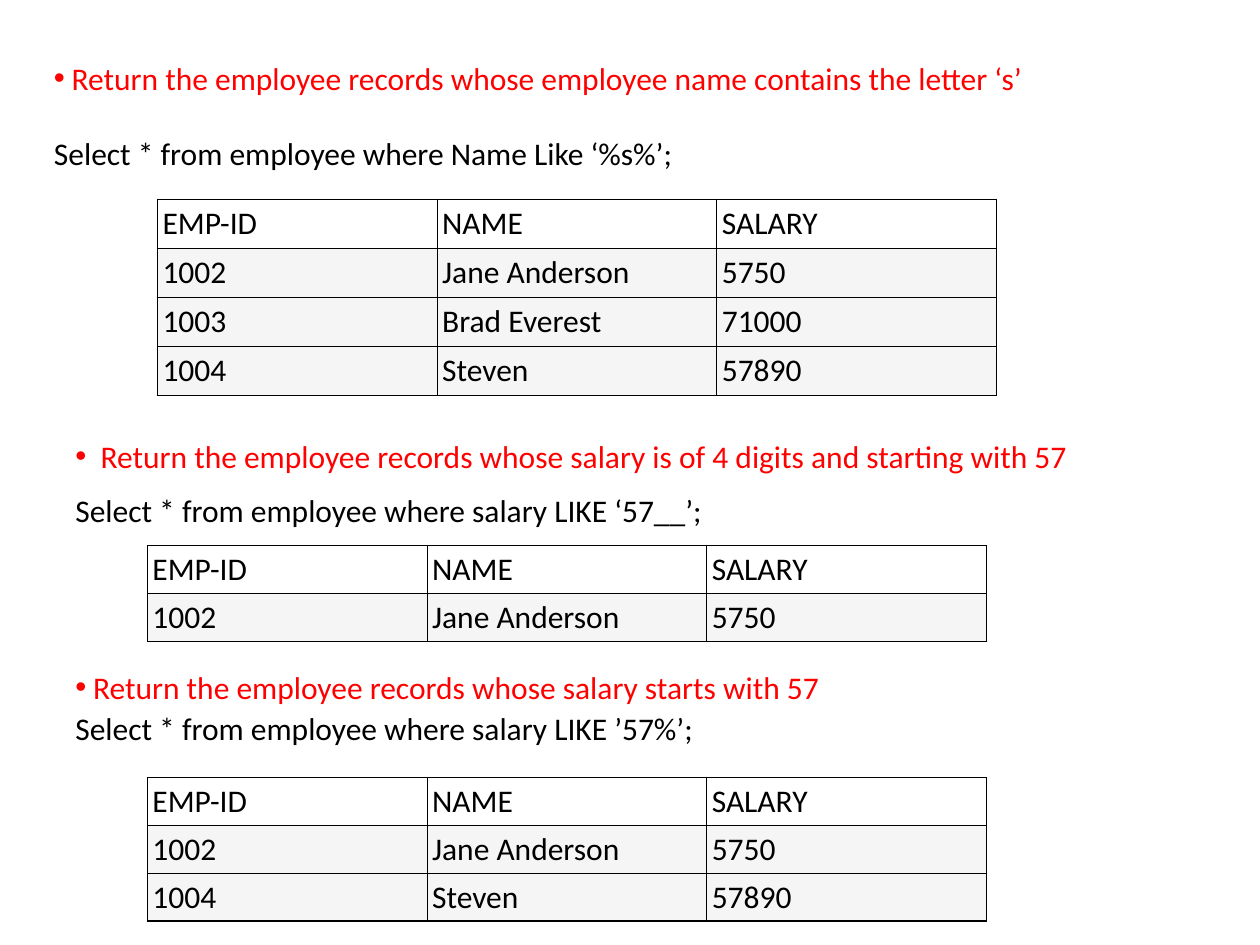
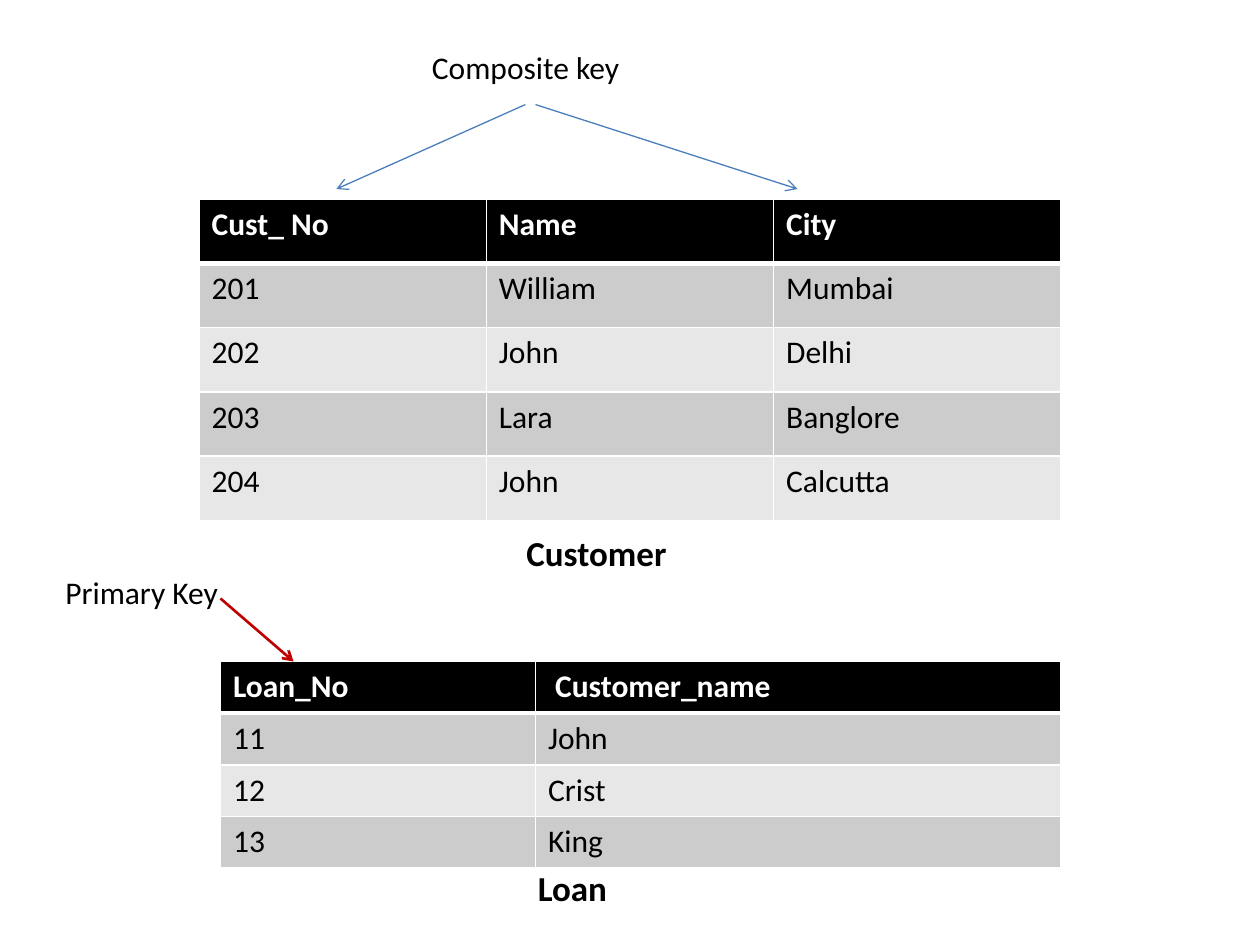
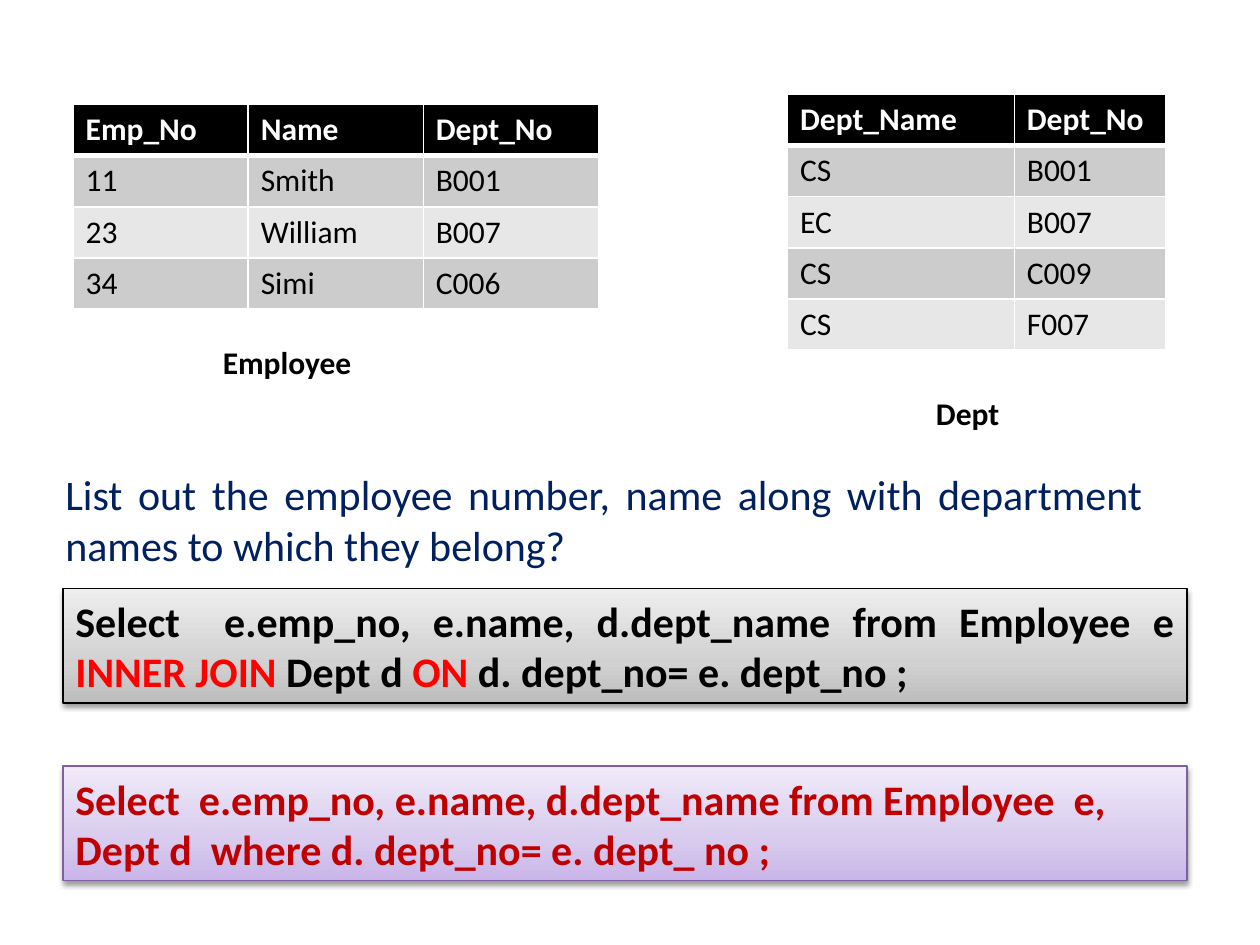
from lxml import etree
from pptx import Presentation
from pptx.dml.color import RGBColor
from pptx.enum.shapes import MSO_CONNECTOR, MSO_SHAPE
from pptx.enum.text import PP_ALIGN
from pptx.oxml.ns import qn
from pptx.util import Inches, Pt

STRAIGHT = MSO_CONNECTOR.STRAIGHT
RECT = MSO_SHAPE.RECTANGLE
LEFT, JUSTIFY = PP_ALIGN.LEFT, PP_ALIGN.JUSTIFY
FONT = "Calibri"
HEX = {
    "ink": "000000", "white": "FFFFFF", "red": "FF0000", "dark red": "C00000",
    "navy": "002060", "blue": "4B7EBC", "purple": "7D60A0",
    "pale": "F5F5F5", "odd": "CCCCCC", "even": "E7E7E7",
}
GREYS = ("BDBDBD", "D1D1D1", "EEEEEE")
LILACS = ("C9B5E8", "D8CBEE", "F0EAF9")
STOPS = (0, 35000, 100000)
STAFF = ("EMP-ID", "NAME", "SALARY")
JANE = ("1002", "Jane Anderson", "5750")
BRAD = ("1003", "Brad Everest", "71000")
STEVEN = ("1004", "Steven", "57890")


def rgb(name):
    return RGBColor.from_string(HEX[name])


def tag(parent, name, **attrs):
    node = etree.SubElement(parent, qn(name))
    for key, value in attrs.items():
        node.set(key, str(value))
    return node


def paint(part, color, size=18, bold=False):
    font = part.font
    font.name, font.size, font.bold = FONT, Pt(size), bold
    font.color.rgb = rgb(color)


def write(para, text, color="ink", size=18, bold=False, align=LEFT):
    para.text = text
    para.alignment = align
    for run in para.runs:
        paint(run, color, size, bold)


def label(slide, box, text, **look):
    frame = slide.shapes.add_textbox(*map(Inches, box)).text_frame
    frame.word_wrap = True
    write(frame.paragraphs[0], text, **look)
    return frame


def ask(slide, box, text, hang, align=JUSTIFY):
    frame = label(slide, box, text, color="red", align=align)
    props = frame.paragraphs[0]._p.get_or_add_pPr()
    props.set("marL", str(Inches(hang)))
    props.set("indent", str(-Inches(hang)))
    tag(props, "a:buFont", typeface="Arial")
    tag(props, "a:buChar", char="•")
    return frame


def answer(frame, text, gap):
    para = frame.add_paragraph()
    write(para, text, align=JUSTIFY)
    para.space_before = Pt(gap)


def edge(cell, side, color, width):
    line = tag(cell._tc.get_or_add_tcPr(), f"a:ln{side}", w=Pt(width))
    tag(tag(line, "a:solidFill"), "a:srgbClr", val=HEX[color])


def grid(slide, left, top, cols, row, data, plain=False):
    shape = slide.shapes.add_table(
        len(data), len(cols), Inches(left), Inches(top),
        Inches(sum(cols)), Inches(row * len(data)))
    table = shape.table
    for col, width in zip(table.columns, cols):
        col.width = Inches(width)
    for r, values in enumerate(data):
        table.rows[r].height = Inches(row)
        head = r == 0
        if plain:
            fill, color = "white" if head else "pale", "ink"
        elif head:
            fill, color = "ink", "white"
        else:
            fill, color = "odd" if r % 2 else "even", "ink"
        for c, value in enumerate(values):
            cell = table.cell(r, c)
            if plain:
                cell.margin_left = cell.margin_right = Inches(0.04)
                cell.margin_top = cell.margin_bottom = Inches(0.04)
            for side in "LRTB":
                thick = (r, side) in ((0, "B"), (1, "T"))
                if plain:
                    edge(cell, side, "ink", 0.75)
                else:
                    edge(cell, side, "white", 3 if thick else 1)
            cell.fill.solid()
            cell.fill.fore_color.rgb = rgb(fill)
            write(cell.text_frame.paragraphs[0], value, color,
                  bold=head and not plain)


def staff(slide, left, top, row, *people):
    grid(slide, left, top, [2.22] * 3, row, [STAFF, *people], plain=True)


def arrow(slide, start, end, color, width):
    line = slide.shapes.add_connector(STRAIGHT, *map(Inches, start + end))
    line.line.color.rgb = rgb(color)
    line.line.width = Pt(width)
    tag(line.line._get_or_add_ln(), "a:tailEnd", type="arrow")
    tag(line._element.spPr, "a:effectLst")


def panel(slide, box, shades, border, runs, align):
    shape = slide.shapes.add_shape(RECT, *map(Inches, box))
    props = shape._element.spPr
    grad = tag(props, "a:gradFill", rotWithShape=1)
    stops = tag(grad, "a:gsLst")
    for pos, shade in zip(STOPS, shades):
        tag(tag(stops, "a:gs", pos=pos), "a:srgbClr", val=shade)
    tag(grad, "a:lin", ang=270 * 60000, scaled=0)
    shape.line.color.rgb = rgb(border)
    shape.line.width = Pt(0.75)
    shape.shadow.inherit = False
    glow = tag(props.find(qn("a:effectLst")), "a:outerShdw", blurRad=Pt(3.1),
               dist=Pt(1.6), dir=90 * 60000, rotWithShape=0)
    tag(tag(glow, "a:srgbClr", val=HEX["ink"]), "a:alpha", val=38000)
    shape.text_frame.word_wrap = True
    para = shape.text_frame.paragraphs[0]
    para.alignment = align
    for text, color in runs:
        run = para.add_run()
        run.text = text
        paint(run, color, 24, True)


def like(slide):
    staff(slide, 1.25, 1.58, 0.39, JANE, BRAD, STEVEN)
    frame = ask(slide, (0.33, 0.42, 9.08, 1.01),
                "Return the employee records whose employee name contains the letter ‘s’", 0.14)
    answer(frame, "Select * from employee where Name Like ‘%s%’;", 21)
    frame = ask(slide, (0.5, 3.42, 9.17, 1.14),
                "Return the employee records whose salary is of 4 digits and starting with 57", 0.2)
    answer(frame, "Select * from employee where salary LIKE ‘57__’;", 9)
    staff(slide, 1.17, 4.33, 0.38, JANE)
    label(slide, (0.5, 5.58, 8.5, 0.4), "Select * from employee where salary LIKE ’57%’;")
    staff(slide, 1.17, 6.17, 0.38, JANE, STEVEN)
    ask(slide, (0.5, 5.25, 9.17, 0.4),
        "Return the employee records whose salary starts with 57", 0.14, LEFT)


def keys(slide):
    grid(slide, 1.58, 1.58, [2.28] * 3, 0.51, [
        ("Cust_ No", "Name", "City"), ("201", "William", "Mumbai"),
        ("202", "John", "Delhi"), ("203", "Lara", "Banglore"),
        ("204", "John", "Calcutta")])
    label(slide, (4.08, 4.17, 2.17, 0.44), "Customer", size=20, bold=True)
    arrow(slide, (4.17, 0.83), (2.67, 1.5), "blue", 0.75)
    arrow(slide, (4.25, 0.83), (6.33, 1.5), "blue", 0.75)
    label(slide, (3.33, 0.33, 2.75, 0.4), "Composite key")
    grid(slide, 1.75, 5.25, (2.5, 4.17), 0.41, [
        ("Loan_No", " Customer_name"), ("11", "John"), ("12", "Crist"),
        ("13", "King")])
    arrow(slide, (1.75, 4.75), (2.33, 5.25), "dark red", 1.5)
    label(slide, (0.42, 4.5, 2.75, 0.4), "Primary Key")
    label(slide, (4.17, 6.83, 2.17, 0.44), "Loan", size=20, bold=True)


def join(slide):
    grid(slide, 0.58, 0.83, [1.39] * 3, 0.4, [
        ("Emp_No", "Name", "Dept_No"), ("11", "Smith", "B001"),
        ("23", "William", "B007"), ("34", "Simi", "C006")])
    grid(slide, 6.25, 0.75, (1.8, 1.2), 0.4, [
        ("Dept_Name", "Dept_No"), ("CS", "B001"), ("EC", "B007"),
        ("CS", "C009"), ("CS", "F007")])
    label(slide, (0.42, 3.67, 8.75, 0.91),
          "List out the employee number, name along with department names to which they belong?",
          color="navy", size=24, align=JUSTIFY)
    label(slide, (1.67, 2.67, 2, 0.4), "Employee", bold=True)
    label(slide, (7.33, 3.08, 2, 0.4), "Dept", bold=True)
    panel(slide, (0.5, 4.67, 8.92, 0.91), GREYS, "ink", [
        ("Select  e.emp_no, e.name, d.dept_name from Employee e ", "ink"),
        ("INNER JOIN ", "red"), ("Dept d ", "ink"), ("ON", "red"),
        (" d. dept_no= e. dept_no ;", "ink")], JUSTIFY)
    panel(slide, (0.5, 6.08, 8.92, 0.91), LILACS, "purple", [
        ("Select  e.emp_no, e.name, d.dept_name from Employee  e, "
         "Dept d  where d. dept_no= e. dept_ no ;", "dark red")], LEFT)


def main():
    deck = Presentation()
    deck.slide_width, deck.slide_height = Inches(10), Inches(7.5)
    for build in (like, keys, join):
        build(deck.slides.add_slide(deck.slide_layouts[6]))
    deck.save("out.pptx")


if __name__ == "__main__":
    main()
